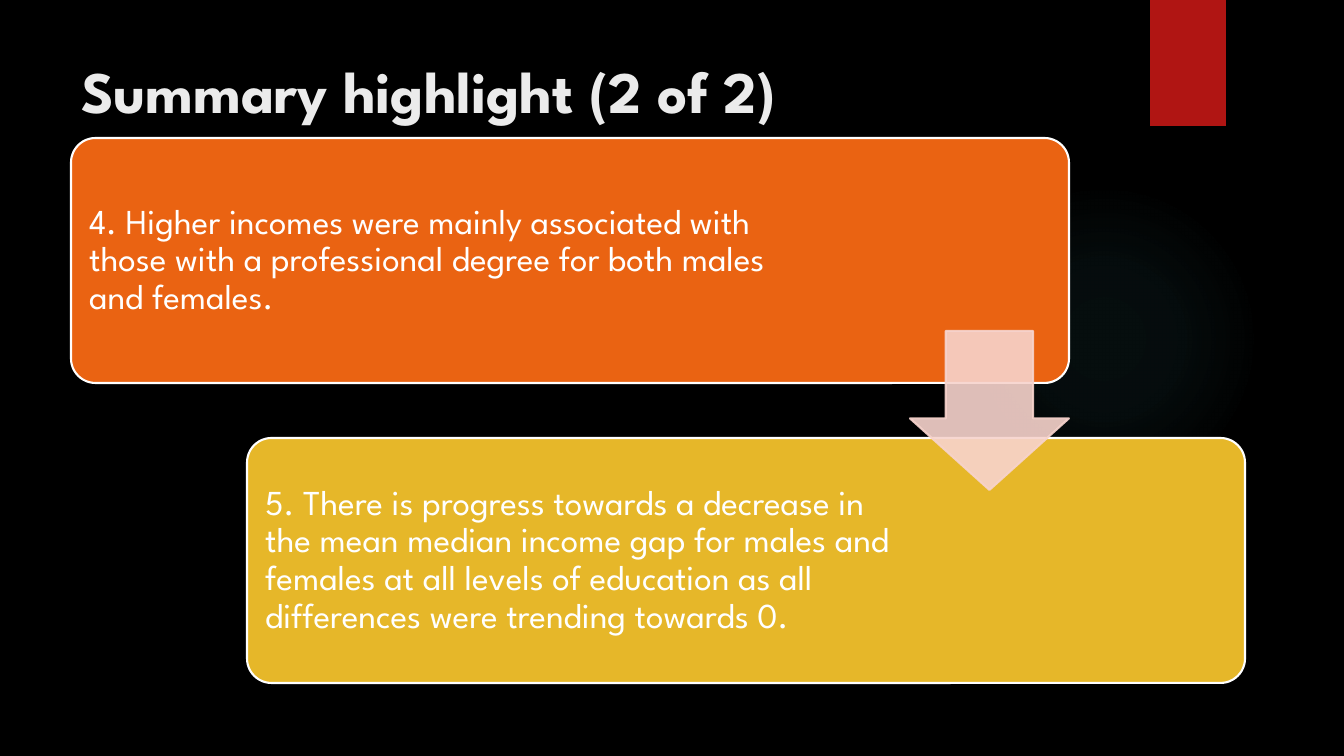
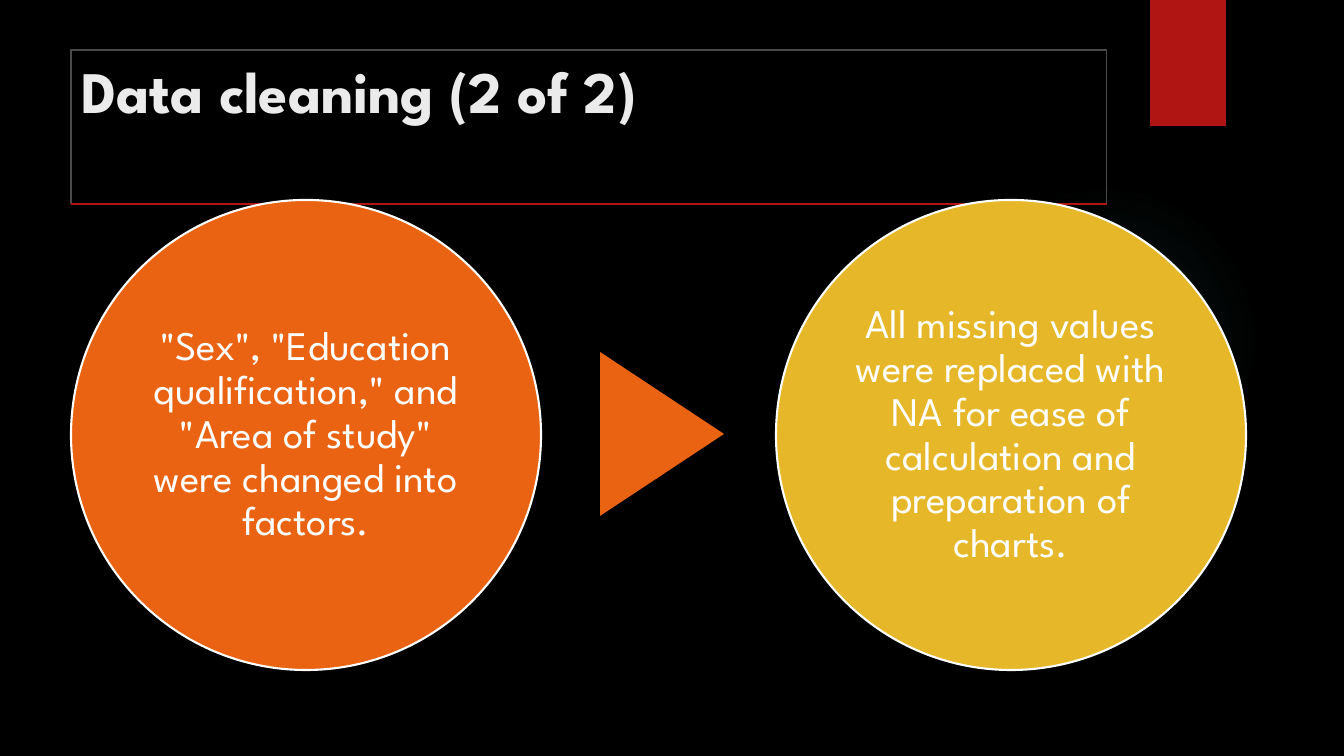
from lxml import etree
from pptx import Presentation
from pptx.dml.color import RGBColor
from pptx.enum.shapes import MSO_CONNECTOR, MSO_SHAPE
from pptx.enum.text import MSO_ANCHOR, MSO_AUTO_SIZE, PP_ALIGN
from pptx.oxml import parse_xml
from pptx.oxml.ns import qn
from pptx.util import Pt

PX = 12192000 // 1344
FONT = "League Spartan"
COLORS = {
    "background": "000000",
    "title": "EBEBEB",
    "frame": "4A4A4A",
    "red": "B01513",
    "orange": "EA6312",
    "yellow": "E6B729",
    "pink": "F7D3CC",
    "white": "FFFFFF",
    "glow": "50B9C1",
}


def add_shape(slide, kind, box, fill, line=None):
    shape = slide.shapes.add_shape(kind, *[length * PX for length in box])
    shape.shadow.inherit = False
    shape.fill.solid()
    shape.fill.fore_color.rgb = RGBColor.from_string(COLORS[fill])
    if line:
        shape.line.color.rgb = RGBColor.from_string(COLORS[line])
        shape.line.width = Pt(1.5)
    else:
        shape.line.fill.background()
    return shape


def write_text(shape, text, size, color, align, anchor, margins, spacing=None):
    frame = shape.text_frame
    frame.word_wrap = True
    frame.auto_size = MSO_AUTO_SIZE.NONE
    frame.vertical_anchor = anchor
    (frame.margin_left, frame.margin_top,
     frame.margin_right, frame.margin_bottom) = [margin * PX for margin in margins]
    paragraph = frame.paragraphs[0]
    paragraph.alignment = align
    paragraph.line_spacing = spacing
    run = paragraph.add_run()
    run.text = text
    run.font.name = FONT
    run.font.size = Pt(size)
    run.font.color.rgb = RGBColor.from_string(COLORS[color])
    return run


presentation = Presentation()
presentation.slide_width = 1344 * PX
presentation.slide_height = 756 * PX
layout = presentation.slide_layouts[5]

# Shared background
layout.background.fill.solid()
layout.background.fill.fore_color.rgb = RGBColor.from_string(COLORS["background"])

# Slides with their titles
slides = []
for title_text in ["Summary highlight (2 of 2)", "Data cleaning (2 of 2)"]:
    slide = presentation.slides.add_slide(layout)
    title = slide.shapes.title
    title.left, title.top = 71 * PX, 50 * PX
    title.width, title.height = 1036 * PX, 154 * PX
    run = write_text(title, title_text, 42, "title", PP_ALIGN.LEFT,
                     MSO_ANCHOR.TOP, (10, 5, 10, 5))
    run.font.bold = True
    slides.append(slide)
summary, cleaning = slides

# Soft glow and red tag, moved to the layout so that both slides share them
glow = add_shape(summary, MSO_SHAPE.OVAL, (949, 184, 310, 310), "glow")
stops = "".join(
    f'<a:gs pos="{position * 1000}"><a:srgbClr val="{COLORS["glow"]}">'
    f'<a:alpha val="{opacity * 1000}"/></a:srgbClr></a:gs>'
    for position, opacity in [(0, 7), (36, 6), (69, 0), (100, 0)]
)
gradient = parse_xml(
    '<a:gradFill xmlns:a="http://schemas.openxmlformats.org/drawingml/2006/main">'
    f'<a:gsLst>{stops}</a:gsLst><a:path path="circle">'
    '<a:fillToRect l="50000" t="50000" r="50000" b="50000"/></a:path></a:gradFill>'
)
properties = glow.element.spPr
properties.replace(properties.find(qn("a:solidFill")), gradient)
tag = add_shape(summary, MSO_SHAPE.RECTANGLE, (1150, 0, 76, 126), "red")
for shape in (glow, tag):
    layout.shapes.element.append(shape.element)

# Summary: two staggered cards
cards = [
    (71, 138, "orange", 248,
     "4. Higher incomes were mainly associated with those with a professional "
     "degree for both males and females."),
    (247, 438, "yellow", 345,
     "5. There is progress towards a decrease in the mean median income gap for "
     "males and females at all levels of education as all differences were "
     "trending towards 0."),
]
for left, top, fill, right_margin, text in cards:
    card = add_shape(summary, MSO_SHAPE.ROUNDED_RECTANGLE,
                     (left, top, 998, 245), fill, "white")
    card.adjustments[0] = 0.1
    write_text(card, text, 25, "white", PP_ALIGN.LEFT, MSO_ANCHOR.MIDDLE,
               (11, 10, right_margin, 10), 0.9)

# Summary: translucent arrow between the cards
arrow = add_shape(summary, MSO_SHAPE.DOWN_ARROW, (910, 331, 159, 159), "pink", "pink")
arrow.adjustments[0] = 0.55
arrow.adjustments[1] = 0.45
for color in arrow.element.spPr.iter(qn("a:srgbClr")):
    etree.SubElement(color, qn("a:alpha")).set("val", "90000")

# Cleaning: title frame with a red base line
frame_line = cleaning.shapes.title.line
frame_line.color.rgb = RGBColor.from_string(COLORS["frame"])
frame_line.width = Pt(0.75)
base = cleaning.shapes.add_connector(MSO_CONNECTOR.STRAIGHT,
                                     71 * PX, 204 * PX, 1107 * PX, 204 * PX)
base.line.color.rgb = RGBColor.from_string(COLORS["red"])
base.line.width = Pt(0.75)
etree.SubElement(base.element.spPr, qn("a:effectLst"))

# Cleaning: two circles and the pointer between them
circles = [
    (71, "orange",
     '"Sex", "Education qualification," and "Area of study" were changed into factors.'),
    (776, "yellow",
     "All missing values were replaced with NA for ease of calculation and "
     "preparation of charts."),
]
for left, fill, text in circles:
    circle = add_shape(cleaning, MSO_SHAPE.OVAL, (left, 200, 470, 470), fill, "white")
    write_text(circle, text, 29, "white", PP_ALIGN.CENTER, MSO_ANCHOR.MIDDLE,
               (4, 4, 4, 4), 0.9)
pointer = add_shape(cleaning, MSO_SHAPE.ISOSCELES_TRIANGLE, (580, 372, 164, 124), "orange")
pointer.rotation = 90

presentation.save("out.pptx")
